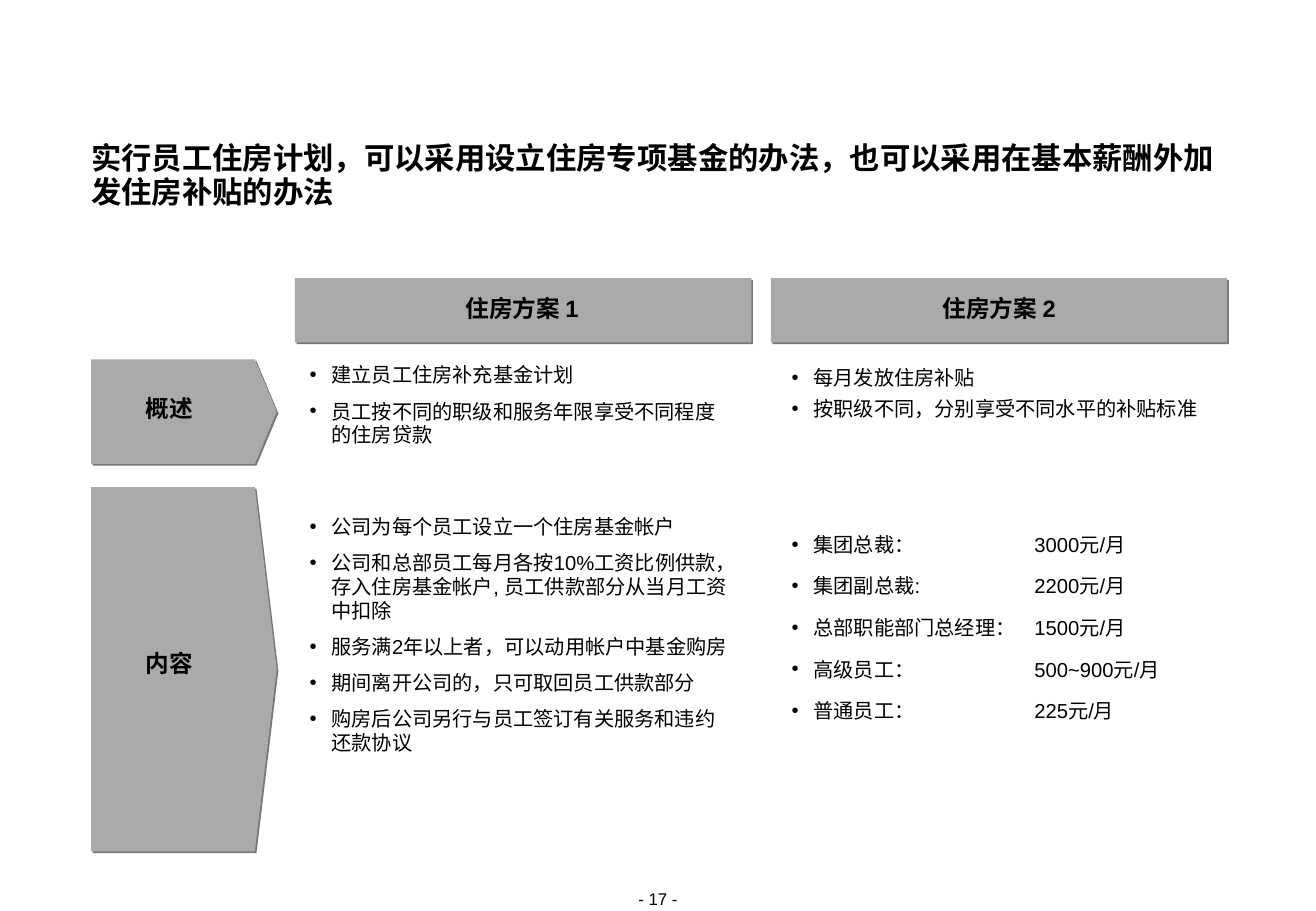
import dataclasses
import typing

import lxml.etree
import pptx
import pptx.dml.color
import pptx.enum.shapes
import pptx.enum.text
import pptx.oxml.ns
import pptx.shapes.autoshape
import pptx.slide
import pptx.util

PX = 9144
Pt = pptx.util.Pt
Align = pptx.enum.text.PP_ALIGN
Anchor = pptx.enum.text.MSO_ANCHOR


@dataclasses.dataclass(frozen=True)
class Theme:
    face: str = "Arial"
    ink: str = "000000"
    panel: str = "AAAAAA"
    shade: str = "777777"
    title: int = 18
    label: int = 14
    body: int = 12
    page: int = 10


THEME = Theme()


@dataclasses.dataclass(frozen=True)
class Box:
    left: int
    top: int
    width: int
    height: int


@dataclasses.dataclass(frozen=True)
class Style:
    size: int
    bold: bool = False
    wrap: bool = True
    bullet: bool = False
    anchor: Anchor = Anchor.TOP
    format: dict[str, typing.Any] = dataclasses.field(default_factory=dict)
    gap: float = 0
    tab: int = 0


@dataclasses.dataclass(frozen=True)
class Block:
    box: Box
    style: Style
    lines: tuple[str, ...]


TITLE = Style(THEME.title, bold=True, format={"line_spacing": Pt(20)})
LABEL = Style(THEME.label, bold=True, wrap=False, anchor=Anchor.MIDDLE,
              format={"alignment": Align.CENTER, "line_spacing": Pt(14)})
PAGE = Style(THEME.page, format={"alignment": Align.CENTER})
LOOSE = Style(THEME.body, bullet=True, format={"line_spacing": Pt(14)}, gap=7.5)
TIGHT = dataclasses.replace(LOOSE, gap=4.5)
RATES = dataclasses.replace(TIGHT, format={"line_spacing": 1.4}, tab=200)

HEADS = [Box(left, 229, 376, 53) for left in (243, 635)]
ARROWS = [Box(75, 296, 153, 86), Box(75, 401, 153, 300)]
TIP = 18
INDENT = 18

BLOCKS = [
    Block(Box(485, 732, 114, 17), PAGE, ("- 17 -",)),
    Block(Box(75, 117, 933, 56), TITLE, (
        "实行员工住房计划，可以采用设立住房专项基金的办法，也可以采用在基本薪酬外加发住房补贴的办法",)),
    Block(Box(381, 246, 98, 19), LABEL, ("住房方案 1",)),
    Block(Box(774, 246, 98, 19), LABEL, ("住房方案 2",)),
    Block(Box(120, 328, 39, 19), LABEL, ("概述",)),
    Block(Box(120, 538, 39, 19), LABEL, ("内容",)),
    Block(Box(255, 299, 351, 69), LOOSE, (
        "建立员工住房补充基金计划",
        "员工按不同的职级和服务年限享受不同程度的住房贷款")),
    Block(Box(652, 301, 351, 45), TIGHT, (
        "每月发放住房补贴",
        "按职级不同，分别享受不同水平的补贴标准")),
    Block(Box(255, 424, 351, 216), LOOSE, (
        "公司为每个员工设立一个住房基金帐户",
        "公司和总部员工每月各按10%工资比例供款，存入住房基金帐户, 员工供款部分从当月工资中扣除",
        "服务满2年以上者，可以动用帐户中基金购房",
        "期间离开公司的，只可取回员工供款部分",
        "购房后公司另行与员工签订有关服务和违约还款协议")),
    Block(Box(652, 430, 351, 165), RATES, (
        "集团总裁：\t3000元/月",
        "集团副总裁:\t2200元/月",
        "总部职能部门总经理：\t1500元/月",
        "高级员工：\t500~900元/月",
        "普通员工：\t225元/月")),
]


def put(target: typing.Any, values: dict[str, typing.Any]) -> None:
    for name, value in values.items():
        setattr(target, name, value)


def edges(box: Box) -> tuple[int, ...]:
    return tuple(n * PX for n in dataclasses.astuple(box))


def node(parent: typing.Any, tag: str, **attrs: str) -> typing.Any:
    return lxml.etree.SubElement(parent, pptx.oxml.ns.qn(tag), attrs)


def color(code: str) -> pptx.dml.color.RGBColor:
    return pptx.dml.color.RGBColor.from_string(code)


def paint(shape: pptx.shapes.autoshape.Shape) -> None:
    shape.fill.solid()
    shape.fill.fore_color.rgb = color(THEME.panel)
    shape.line.fill.background()
    shape.shadow.inherit = False
    effects = shape._element.spPr.find(pptx.oxml.ns.qn("a:effectLst"))
    shadow = node(effects, "a:outerShdw", blurRad="0", dist=str(Pt(1.4)),
                  dir="2700000", algn="ctr", rotWithShape="0")
    node(shadow, "a:srgbClr", val=THEME.shade)


def head(slide: pptx.slide.Slide, box: Box) -> None:
    kind = pptx.enum.shapes.MSO_SHAPE.RECTANGLE
    paint(slide.shapes.add_shape(kind, *edges(box)))


def arrow(slide: pptx.slide.Slide, box: Box) -> None:
    right, base = box.left + box.width, box.top + box.height
    neck = right - TIP
    pen = slide.shapes.build_freeform(box.left, box.top, scale=PX)
    pen.add_line_segments([(neck, box.top), (right, box.top + box.height / 2),
                           (neck, base), (box.left, base)], close=True)
    paint(pen.convert_to_shape())


def mark(para: typing.Any, tab: int) -> None:
    props = para._p.get_or_add_pPr()
    props.set("marL", str(INDENT * PX))
    props.set("indent", str(-INDENT * PX))
    node(node(props, "a:buClr"), "a:srgbClr", val=THEME.ink)
    node(props, "a:buFont", typeface=THEME.face)
    node(props, "a:buChar", char="•")
    if tab:
        node(node(props, "a:tabLst"), "a:tab", pos=str(tab * PX), algn="l")


def write(slide: pptx.slide.Slide, block: Block) -> None:
    style = block.style
    frame = slide.shapes.add_textbox(*edges(block.box)).text_frame
    put(frame, {"margin_left": 0, "margin_right": 0, "margin_top": 0,
                "margin_bottom": 0, "word_wrap": style.wrap,
                "vertical_anchor": style.anchor,
                "auto_size": pptx.enum.text.MSO_AUTO_SIZE.SHAPE_TO_FIT_TEXT})
    for rank, line in enumerate(block.lines):
        para = frame.add_paragraph() if rank else frame.paragraphs[0]
        if style.bullet:
            mark(para, style.tab)
        put(para, style.format)
        if rank:
            para.space_before = Pt(style.gap)
        run = para.add_run()
        run.text = line
        put(run.font, {"name": THEME.face, "size": Pt(style.size), "bold": style.bold})
        run.font.color.rgb = color(THEME.ink)


def main() -> None:
    deck = pptx.Presentation()
    put(deck, {"slide_width": 1084 * PX, "slide_height": 750 * PX})
    slide = deck.slides.add_slide(deck.slide_layouts[6])
    for box in HEADS:
        head(slide, box)
    for box in ARROWS:
        arrow(slide, box)
    for block in BLOCKS:
        write(slide, block)
    deck.save("out.pptx")


if __name__ == "__main__":
    main()
